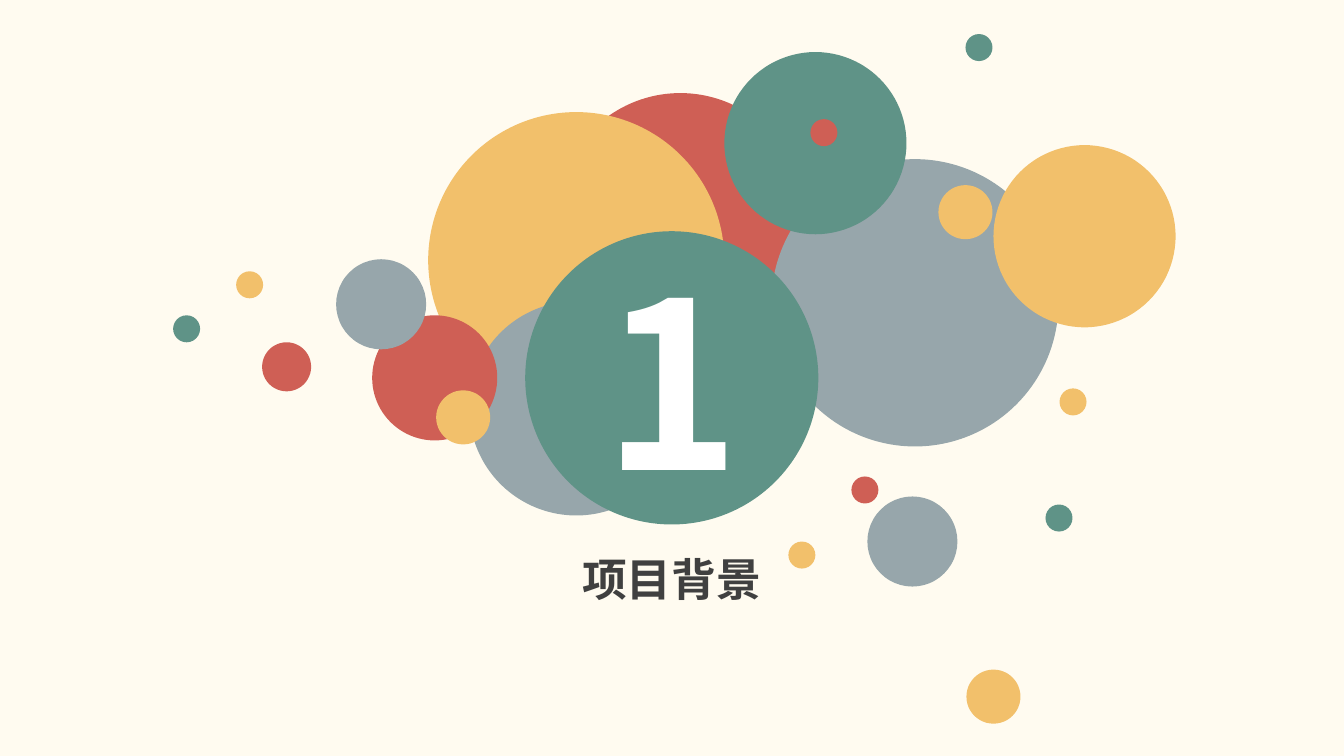
from dataclasses import dataclass

from lxml.etree import SubElement
from pptx import Presentation
from pptx.dml.color import RGBColor
from pptx.enum.shapes import MSO_SHAPE as SHAPE
from pptx.enum.text import MSO_ANCHOR as ANCHOR, PP_ALIGN as ALIGN
from pptx.oxml.ns import qn
from pptx.util import Inches, Pt


@dataclass(frozen=True)
class Theme:
    background: str = "FFFBF0"
    red: str = "CF5F55"
    yellow: str = "F2C06B"
    gray: str = "97A6AB"
    green: str = "5F9387"
    white: str = "FFFFFF"
    ink: str = "404040"
    font: str = "Noto Sans CJK SC"
    number_size: int = 166
    title_size: int = 32


T = Theme()
PX_PER_INCH = 100.7
DOT, BUBBLE, BALL = 27, 54, 90

CIRCLES = [
    (556, 93, 248, T.red),
    (428, 112, 296, T.yellow),
    (469, 301, 214, T.gray),
    (771, 159, 287, T.gray),
    (724, 52, 182, T.green),
    (372, 315, 125, T.red),
    (867, 496, BALL, T.gray),
    (851, 476, DOT, T.red),
    (788, 541, DOT, T.yellow),
    (1045, 504, DOT, T.green),
    (966, 669, BUBBLE, T.yellow),
    (993, 145, 182, T.yellow),
    (336, 259, BALL, T.gray),
    (262, 342, 49, T.red),
    (236, 271, DOT, T.yellow),
    (173, 315, DOT, T.green),
    (436, 390, BUBBLE, T.yellow),
    (810, 119, DOT, T.red),
    (1059, 388, DOT, T.yellow),
    (965, 34, DOT, T.green),
    (938, 185, BUBBLE, T.yellow),
]


def px(n):
    return Inches(n / PX_PER_INCH)


def rgb(color):
    return RGBColor.from_string(color)


def write(sp, text, *, size, color, anchor, bold=True, align=ALIGN.CENTER):
    tf = sp.text_frame
    tf.word_wrap = True
    tf.vertical_anchor = anchor
    p = tf.paragraphs[0]
    p.alignment = align
    p.line_spacing = 1.0
    p.space_before = Pt(0)
    r = p.add_run()
    r.text = text
    r.font.size = Pt(size)
    r.font.bold = bold
    r.font.name = T.font
    r.font.color.rgb = rgb(color)
    SubElement(r.font._element, qn("a:ea"), typeface=T.font)


def add_circle(s, left, top, diameter, color):
    sp = s.shapes.add_shape(SHAPE.OVAL, px(left), px(top), px(diameter), px(diameter))
    sp.shadow.inherit = False
    sp.fill.solid()
    sp.fill.fore_color.rgb = rgb(color)
    sp.line.fill.background()
    return sp


def place_title(s, text, left, top, width, height):
    sp = s.shapes.title
    sp.left, sp.top, sp.width, sp.height = map(px, (left, top, width, height))
    write(sp, text, size=T.title_size, color=T.ink, anchor=ANCHOR.TOP)


def main():
    prs = Presentation()
    prs.slide_width, prs.slide_height = Inches(13.34), Inches(7.5)
    s = prs.slides.add_slide(prs.slide_layouts[5])
    s.background.fill.solid()
    s.background.fill.fore_color.rgb = rgb(T.background)

    place_title(s, "项目背景", 368, 546, 607, 119)
    for circle in CIRCLES:
        add_circle(s, *circle)
    badge = add_circle(s, 525, 231, 293, T.green)
    write(badge, "1", size=T.number_size, color=T.white, anchor=ANCHOR.MIDDLE)

    prs.save("out.pptx")


main()
